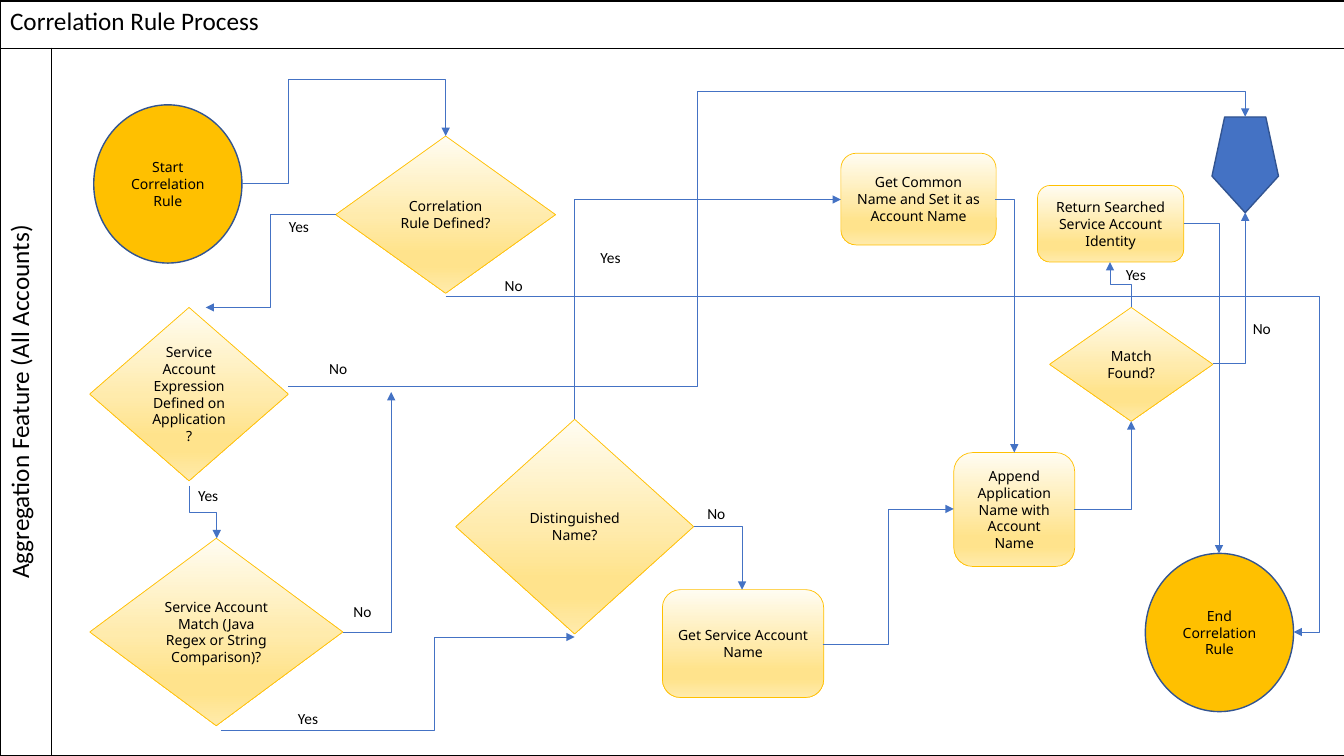
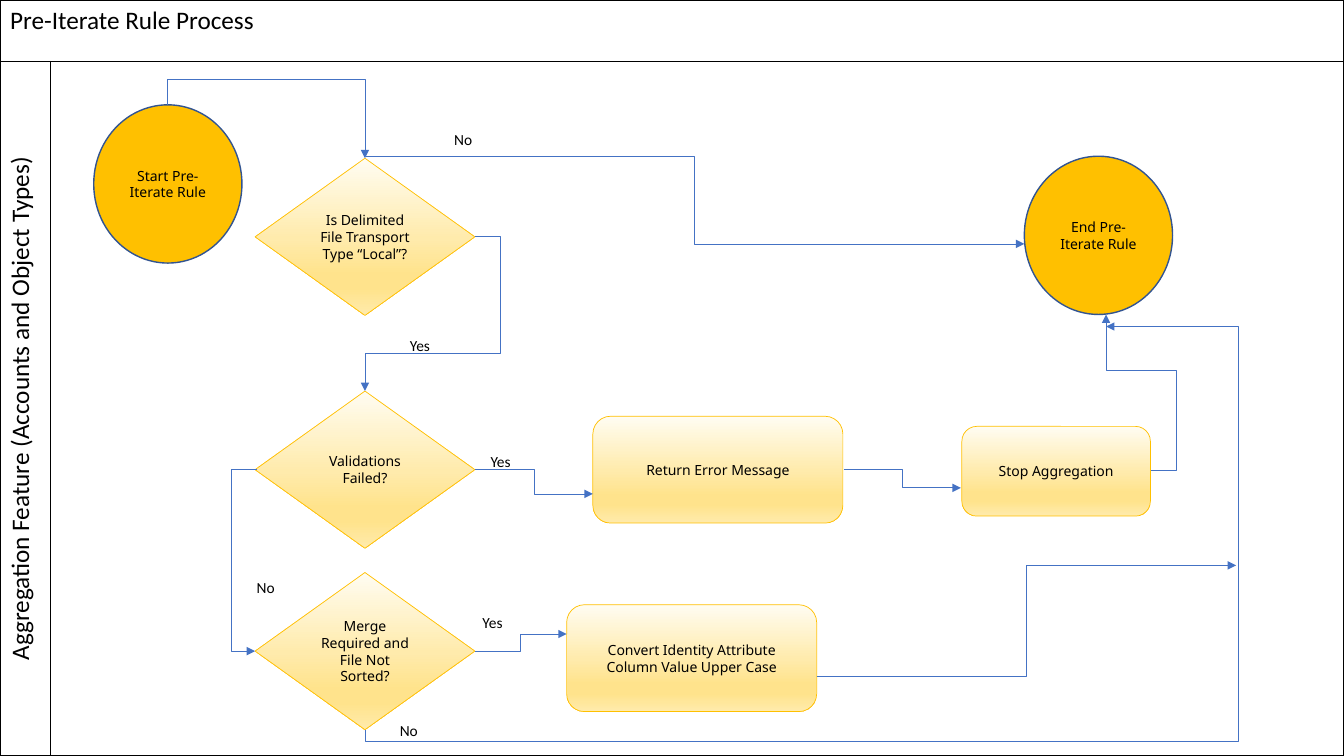
from dataclasses import dataclass
from typing import NamedTuple

from lxml import etree
from pptx import Presentation
from pptx.dml.color import RGBColor
from pptx.enum.shapes import MSO_CONNECTOR, MSO_SHAPE
from pptx.enum.text import MSO_ANCHOR, MSO_AUTO_SIZE, PP_ALIGN
from pptx.oxml.ns import qn
from pptx.util import Inches, Pt


@dataclass(frozen=True)
class Theme:
    ink: str = "000000"
    amber: str = "FFC000"
    blue: str = "4472C4"
    navy: str = "325491"
    gradient: tuple = ((0, "FFFCF2"), (51, "FFEBAC"), (74, "FFE38C"), (83, "FFE38C"), (100, "FFEBAC"))
    heading_font: str = "Calibri"
    box_font: str = "Noto Sans"
    heading_size: int = 18
    label_size: int = 11
    box_size: int = 10
    thin: float = 0.5
    frame: float = 1


THEME = Theme()
WIDTH, HEIGHT, BODY_WIDTH = 13.33, 7.5, 12.83
TERMINAL_SIZE = (1.47, 1.57)
DIAMOND_SIZE = (2.18, 1.56)
LABEL_SIZE = (0.55, 0.44)


class Box(NamedTuple):
    kind: MSO_SHAPE
    left: float
    top: float
    width: float
    height: float
    text: str = ""


class Label(NamedTuple):
    left: float
    top: float
    text: str


@dataclass(frozen=True)
class Process:
    title: str
    lane: str
    frame_top: float
    lane_width: float
    header_height: float
    boxes: list
    routes: list
    labels: list


def terminal(left: float, top: float, text: str) -> Box:
    return Box(MSO_SHAPE.OVAL, left, top, *TERMINAL_SIZE, text)


def decision(left: float, top: float, text: str, size: tuple = DIAMOND_SIZE) -> Box:
    return Box(MSO_SHAPE.DIAMOND, left, top, *size, text)


def step(left: float, top: float, width: float, height: float, text: str) -> Box:
    return Box(MSO_SHAPE.ROUNDED_RECTANGLE, left, top, width, height, text)


def color(value: str) -> RGBColor:
    return RGBColor.from_string(value)


def format_text(frame, text: str, font: str, size: int, align=PP_ALIGN.CENTER) -> None:
    frame.text = text
    for para in frame.paragraphs:
        para.alignment = align
        for span in para.runs:
            span.font.name = font
            span.font.size = Pt(size)
            span.font.color.rgb = color(THEME.ink)


def write_centred(shape, text: str, font: str, size: int) -> None:
    frame = shape.text_frame
    format_text(frame, text, font, size)
    frame.word_wrap = True
    frame.auto_size = MSO_AUTO_SIZE.NONE
    frame.vertical_anchor = MSO_ANCHOR.MIDDLE


def outline_cell(cell) -> None:
    cell.fill.background()
    properties = cell._tc.get_or_add_tcPr()
    for index, side in enumerate(("lnL", "lnR", "lnT", "lnB")):
        border = etree.Element(qn(f"a:{side}"), w=str(Pt(THEME.frame)))
        solid = etree.SubElement(border, qn("a:solidFill"))
        etree.SubElement(solid, qn("a:srgbClr"), val=THEME.ink)
        properties.insert(index, border)


def draw_frame(page, process: Process) -> None:
    widths = (process.lane_width, BODY_WIDTH)
    heights = (process.header_height, HEIGHT - process.frame_top - process.header_height)
    table = page.shapes.add_table(
        2, 2, 0, Inches(process.frame_top), Inches(sum(widths)), Inches(sum(heights))).table
    table.first_row = table.horz_banding = False
    for column, width in zip(table.columns, widths):
        column.width = Inches(width)
    for row, height in zip(table.rows, heights):
        row.height = Inches(height)
    table.cell(0, 0).merge(table.cell(0, 1))
    for cell in table.iter_cells():
        outline_cell(cell)
    title, lane = table.cell(0, 0), table.cell(1, 0)
    format_text(title.text_frame, process.title, THEME.heading_font, THEME.heading_size, PP_ALIGN.LEFT)
    format_text(lane.text_frame, process.lane, THEME.heading_font, THEME.heading_size)
    lane._tc.get_or_add_tcPr().set("vert", "vert270")


def fill_gradient(shape) -> None:
    shape.fill.gradient()
    shape.fill.gradient_angle = 270
    stops = shape._element.spPr.find(f".//{qn('a:gsLst')}")
    for stop in list(stops):
        stops.remove(stop)
    for position, value in THEME.gradient:
        stop = etree.SubElement(stops, qn("a:gs"), pos=str(position * 1000))
        etree.SubElement(stop, qn("a:srgbClr"), val=value)


def draw_box(page, box: Box) -> None:
    shape = page.shapes.add_shape(box.kind, *map(Inches, box[1:5]))
    shape.shadow.inherit = False
    if box.kind in (MSO_SHAPE.DIAMOND, MSO_SHAPE.ROUNDED_RECTANGLE):
        fill_gradient(shape)
        line_color, line_width = THEME.amber, THEME.thin
    else:
        shape.fill.solid()
        is_terminal = box.kind == MSO_SHAPE.OVAL
        shape.fill.fore_color.rgb = color(THEME.amber if is_terminal else THEME.blue)
        shape.rotation = 0 if is_terminal else 180
        line_color, line_width = THEME.navy, THEME.frame
    shape.line.color.rgb = color(line_color)
    shape.line.width = Pt(line_width)
    if box.text:
        write_centred(shape, box.text, THEME.box_font, THEME.box_size)


def draw_label(page, label: Label) -> None:
    shape = page.shapes.add_textbox(*map(Inches, (label.left, label.top, *LABEL_SIZE)))
    write_centred(shape, label.text, THEME.heading_font, THEME.label_size)


def draw_route(page, points: tuple) -> None:
    (x1, y1), (x2, y2) = points[0], points[-1]
    across, down = x2 - x1, y2 - y1
    starts_vertical = points[1][0] == x1
    ends = (x1, y1, x2, y2)
    if starts_vertical:
        middle_x, middle_y = (x1 + x2) / 2, (y1 + y2) / 2
        ends = (middle_x - down / 2, middle_y + across / 2, middle_x + down / 2, middle_y - across / 2)
    connector = page.shapes.add_connector(MSO_CONNECTOR.ELBOW, *map(Inches, ends))
    connector.line.color.rgb = color(THEME.blue)
    connector.line.width = Pt(THEME.thin)
    properties = connector._element.spPr
    if starts_vertical:
        properties.find(qn("a:xfrm")).set("rot", "5400000")
    geometry = properties.find(qn("a:prstGeom"))
    geometry.set("prst", f"bentConnector{len(points) - 1}")
    guides = geometry.find(qn("a:avLst"))
    if guides is None:
        guides = etree.SubElement(geometry, qn("a:avLst"))
    for number, (x, y) in enumerate(points[1:-2], 1):
        along_x = (number % 2 == 1) != starts_vertical
        ratio = (x - x1) / across if along_x else (y - y1) / down
        etree.SubElement(guides, qn("a:gd"), name=f"adj{number}", fmla=f"val {round(ratio * 100000)}")
    etree.SubElement(properties.find(qn("a:ln")), qn("a:tailEnd"), type="triangle")
    etree.SubElement(properties, qn("a:effectLst"))


def draw_process(deck, process: Process) -> None:
    page = deck.slides.add_slide(deck.slide_layouts[6])
    draw_frame(page, process)
    for box in process.boxes:
        draw_box(page, box)
    for points in process.routes:
        draw_route(page, points)
    for label in process.labels:
        draw_label(page, label)


CORRELATION = Process(
    title="Correlation Rule Process",
    lane="Aggregation Feature (All Accounts)",
    frame_top=0.01,
    lane_width=0.51,
    header_height=0.47,
    boxes=[
        terminal(0.93, 1.04, "Start Correlation Rule"),
        decision(3.33, 1.35, "Correlation Rule Defined?"),
        decision(0.89, 3.05, "Service Account Expression Defined on Application?", (1.97, 1.72)),
        decision(0.89, 5.34, "Service Account Match (Java Regex or String Comparison)?", (2.51, 1.86)),
        step(6.57, 5.85, 1.6, 1.07, "Get Service Account Name"),
        decision(4.52, 4.16, "Distinguished Name?", (2.36, 2.13)),
        step(8.34, 1.52, 1.54, 0.91, "Get Common Name and Set it as Account Name"),
        step(9.46, 4.49, 1.2, 1.13, "Append Application Name with Account Name"),
        terminal(11.36, 5.49, "End Correlation Rule"),
        Box(MSO_SHAPE.REGULAR_PENTAGON, 12.02, 1.16, 0.66, 0.95),
        decision(10.41, 3.05, "Match Found?", (1.62, 1.13)),
        step(10.29, 1.84, 1.45, 0.76, "Return Searched Service Account Identity"),
    ],
    routes=[
        ((2.4, 1.82), (2.86, 1.82), (2.86, 0.79), (4.42, 0.79), (4.42, 1.35)),
        ((4.42, 2.94), (13.08, 2.94), (13.08, 6.27), (12.83, 6.27)),
        ((3.33, 2.13), (2.68, 2.13), (2.68, 3.05), (2.04, 3.05)),
        ((2.86, 3.83), (6.91, 3.83), (6.91, 0.91), (12.35, 0.91), (12.35, 1.16)),
        ((3.4, 6.27), (3.88, 6.27), (3.88, 3.89)),
        ((1.88, 4.82), (1.88, 5.08), (2.15, 5.08), (2.15, 5.34)),
        ((2.19, 7.25), (4.31, 7.25), (4.31, 6.32), (5.7, 6.32)),
        ((6.88, 5.22), (7.36, 5.22), (7.36, 5.85)),
        ((8.16, 6.39), (8.81, 6.39), (8.81, 5.05), (9.46, 5.05)),
        ((9.87, 1.98), (10.06, 1.98), (10.06, 4.49)),
        ((10.65, 5.05), (11.22, 5.05), (11.22, 4.18)),
        ((5.7, 4.16), (5.7, 1.98), (8.34, 1.98)),
        ((11.22, 3.05), (11.22, 2.82), (11.01, 2.82), (11.01, 2.6)),
        ((11.74, 2.22), (12.09, 2.22), (12.09, 5.49)),
        ((12.03, 3.61), (12.35, 3.61), (12.35, 2.11)),
    ],
    labels=[
        Label(2.69, 2.03, "Yes"), Label(1.79, 4.69, "Yes"), Label(2.78, 6.91, "Yes"),
        Label(5.78, 2.33, "Yes"), Label(6.83, 4.87, "No"), Label(3.32, 5.85, "No"),
        Label(3.08, 3.43, "No"), Label(4.82, 2.61, "No"), Label(12.24, 3.04, "No"),
        Label(10.99, 2.5, "Yes"),
    ],
)

PRE_ITERATE = Process(
    title="Pre-Iterate Rule Process",
    lane="Aggregation Feature (Accounts and Object Types)",
    frame_top=0,
    lane_width=0.5,
    header_height=0.61,
    boxes=[
        terminal(0.93, 1.04, "Start Pre-Iterate Rule"),
        decision(2.53, 1.57, "Is Delimited File Transport Type “Local”?"),
        decision(2.53, 3.88, "Validations Failed?"),
        decision(2.53, 5.68, "Merge Required and File Not Sorted?"),
        terminal(10.16, 1.55, "End Pre-Iterate Rule"),
        step(5.88, 4.13, 2.48, 1.06, "Return Error Message"),
        step(5.62, 6, 2.48, 1.06, "Convert Identity Attribute Column Value Upper Case"),
        step(9.54, 4.23, 1.87, 0.89, "Stop Aggregation"),
    ],
    routes=[
        ((1.66, 1.04), (1.66, 0.79), (3.62, 0.79), (3.62, 1.57)),
        ((4.71, 2.35), (4.96, 2.35), (4.96, 3.51), (3.62, 3.51), (3.62, 3.88)),
        ((4.71, 4.66), (5.3, 4.66), (5.3, 4.9), (5.88, 4.9)),
        ((8.37, 4.66), (8.95, 4.66), (8.95, 4.84), (9.53, 4.84)),
        ((11.42, 4.67), (11.67, 4.67), (11.67, 3.67), (10.97, 3.67), (10.97, 3.12)),
        ((2.55, 4.66), (2.3, 4.66), (2.3, 6.46), (2.53, 6.46)),
        ((3.63, 1.55), (6.89, 1.55), (6.89, 2.42), (10.16, 2.42)),
        ((4.71, 6.46), (5.16, 6.46), (5.16, 6.29), (5.62, 6.29)),
        ((3.62, 7.24), (3.62, 7.36), (12.28, 7.36), (12.28, 3.24), (10.97, 3.24)),
        ((8.1, 6.71), (10.18, 6.71), (10.18, 5.61), (12.26, 5.61)),
    ],
    labels=[
        Label(4.69, 4.36, "Yes"), Label(3.89, 3.21, "Yes"), Label(4.32, 1.16, "No"),
        Label(2.36, 5.61, "No"), Label(4.61, 5.95, "Yes"), Label(3.78, 7.03, "No"),
    ],
)


def main() -> None:
    deck = Presentation()
    deck.slide_width, deck.slide_height = Inches(WIDTH), Inches(HEIGHT)
    for process in (CORRELATION, PRE_ITERATE):
        draw_process(deck, process)
    deck.save("out.pptx")


if __name__ == "__main__":
    main()
